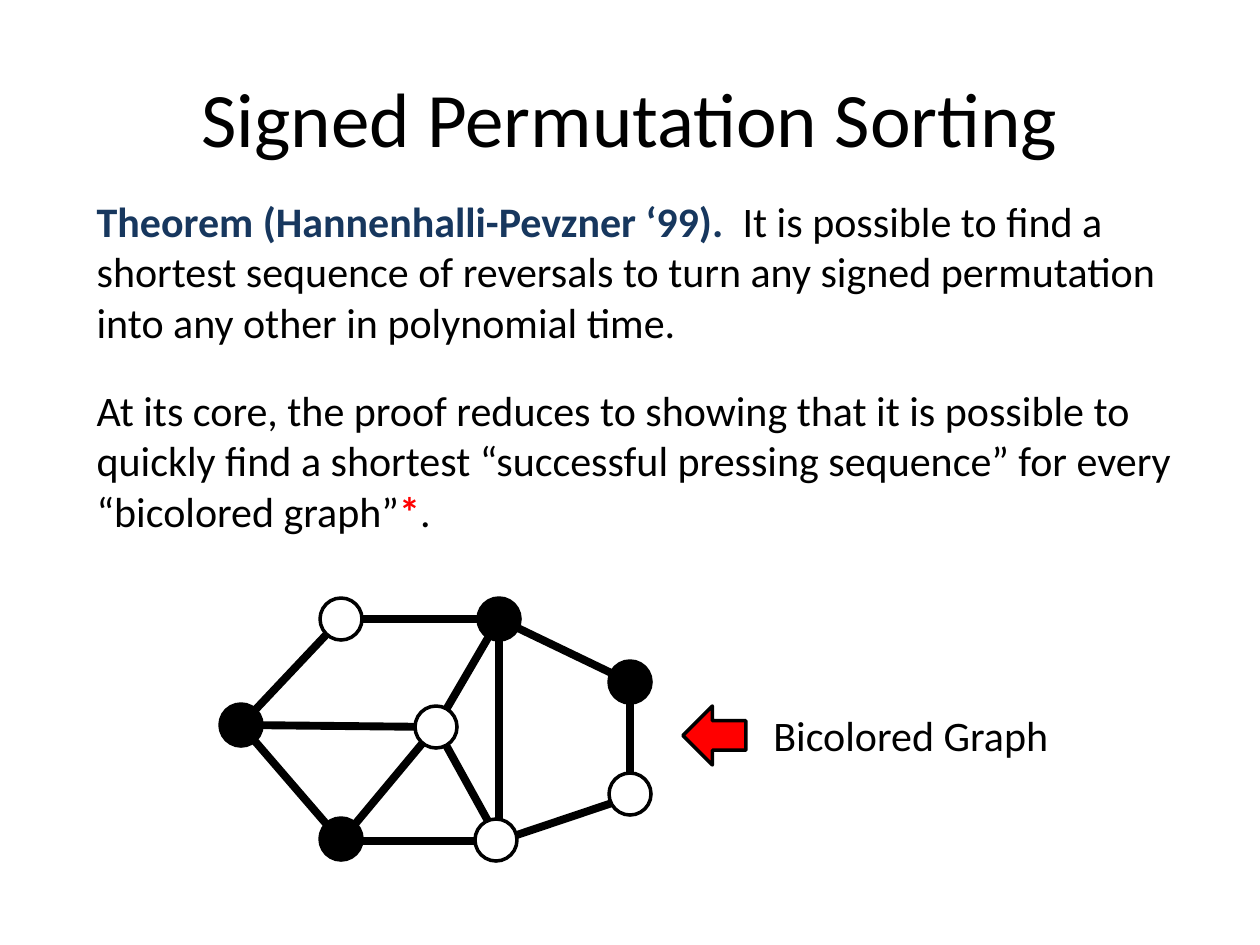
import pptx
import pptx.util
import pptx.dml.color
import pptx.enum.shapes
import pptx.enum.text
import pptx.oxml.ns
import lxml.etree

HUES = {"black": "000000", "white": "FFFFFF", "navy": "17375E", "red": "FF0000"}
SCALE = 914400 / 126
KIND = pptx.enum.shapes.MSO_SHAPE
ALIGN = pptx.enum.text.PP_ALIGN
ANCHOR = pptx.enum.text.MSO_ANCHOR


def px(num):
    return pptx.util.Emu(round(num * SCALE))


def hue(name):
    return pptx.dml.color.RGBColor.from_string(HUES[name])


def write(frame, text, size=24, align=ALIGN.LEFT, anchor=ANCHOR.TOP, wrap=True):
    """Fill a frame with one paragraph; text is a string or (text, colour, bold) runs."""
    frame.auto_size = pptx.enum.text.MSO_AUTO_SIZE.NONE
    frame.word_wrap = wrap
    frame.vertical_anchor = anchor
    para = frame.paragraphs[0]
    para.alignment = align
    para.space_before = pptx.util.Pt(0)
    runs = [(text, "black", False)] if isinstance(text, str) else text
    for words, tint, bold in runs:
        run = para.add_run()
        run.text = words
        run.font.name = "Calibri"
        run.font.size = pptx.util.Pt(size)
        run.font.bold = bold
        run.font.color.rgb = hue(tint)


class Deck:
    def __init__(self):
        self.show = pptx.Presentation()
        self.show.slide_width = px(1260)
        self.show.slide_height = px(945)
        self.edge = pptx.util.Pt(4.5)
        self.rim = pptx.util.Pt(2)

    def start(self, layout):
        self.slide = self.show.slides.add_slide(self.show.slide_layouts[layout])
        self.holds = {h.placeholder_format.idx: h for h in self.slide.placeholders}

    def place(self, idx, box):
        hold = self.holds.pop(idx)
        hold.left, hold.top, hold.width, hold.height = map(px, box)
        return hold.text_frame

    def title(self, box, text):
        write(self.place(0, box), text, size=44, align=ALIGN.CENTER, anchor=ANCHOR.MIDDLE)

    def body(self, idx, box, text):
        frame = self.place(idx, box)
        props = frame.paragraphs[0]._p.get_or_add_pPr()
        props.set("marL", "0")
        props.set("indent", "0")
        lxml.etree.SubElement(props, pptx.oxml.ns.qn("a:buNone"))
        write(frame, text)

    def label(self, box, text):
        write(self.slide.shapes.add_textbox(*map(px, box)).text_frame, text, wrap=False)

    def line(self, start, end):
        link = self.slide.shapes.add_connector(
            pptx.enum.shapes.MSO_CONNECTOR.STRAIGHT, *map(px, start + end))
        link.line.color.rgb = hue("black")
        link.line.width = self.edge
        lxml.etree.SubElement(link._element.spPr, pptx.oxml.ns.qn("a:effectLst"))

    def shape(self, kind, box, fill):
        item = self.slide.shapes.add_shape(kind, *map(px, box))
        item.shadow.inherit = False
        item.fill.solid()
        item.fill.fore_color.rgb = hue(fill)
        item.line.color.rgb = hue("black")
        item.line.width = self.rim

    def node(self, mid, fill):
        size = 42
        self.shape(KIND.OVAL, (mid[0] - size / 2, mid[1] - size / 2, size, size), fill)

    def clean(self):
        """Remove the placeholders left unused."""
        for hold in self.holds.values():
            hold._element.getparent().remove(hold._element)

    def save(self):
        self.clean()
        self.show.save("out.pptx")


# Each node: centre of its circle, colour
NODES = {
    "A": ((341, 619), "white"),
    "B": ((241, 725), "black"),
    "C": ((341, 839), "black"),
    "D": ((499, 619), "black"),
    "E": ((436, 727), "white"),
    "F": ((496, 840), "white"),
    "G": ((630, 682), "black"),
    "H": ((630, 794), "white"),
}
# Where edges meet, if not at the centre of the circle
JOINTS = {"C": (341, 841), "F": (499, 841), "H": (630, 797)}
EDGES = "BA DA DE BE BC EC FC FE GD HG HF FD"


def main():
    deck = Deck()
    deck.start(3)
    deck.title((63, 38, 1134, 158), "Signed Permutation Sorting")
    deck.body(1, (84, 189, 1144, 199), [
        ("Theorem (Hannenhalli-Pevzner ‘99).  ", "navy", True),
        ("It is possible to find a shortest sequence of reversals to turn any "
         "signed permutation into any other in polynomial time.", "black", False),
    ])
    deck.body(2, (84, 378, 1144, 199), [
        ("At its core, the proof reduces to showing that it is possible to quickly find "
         "a shortest “successful pressing sequence” for every “bicolored graph”",
         "black", False),
        ("*", "red", True),
        (".", "black", False),
    ])
    for start, end in EDGES.split():
        deck.line(*(JOINTS.get(name, NODES[name][0]) for name in (start, end)))
    for mid, fill in NODES.values():
        deck.node(mid, fill)
    deck.label((761, 703, 302, 63), "Bicolored Graph")
    deck.shape(KIND.LEFT_ARROW, (683, 706, 63, 59), "red")
    deck.save()


if __name__ == "__main__":
    main()
